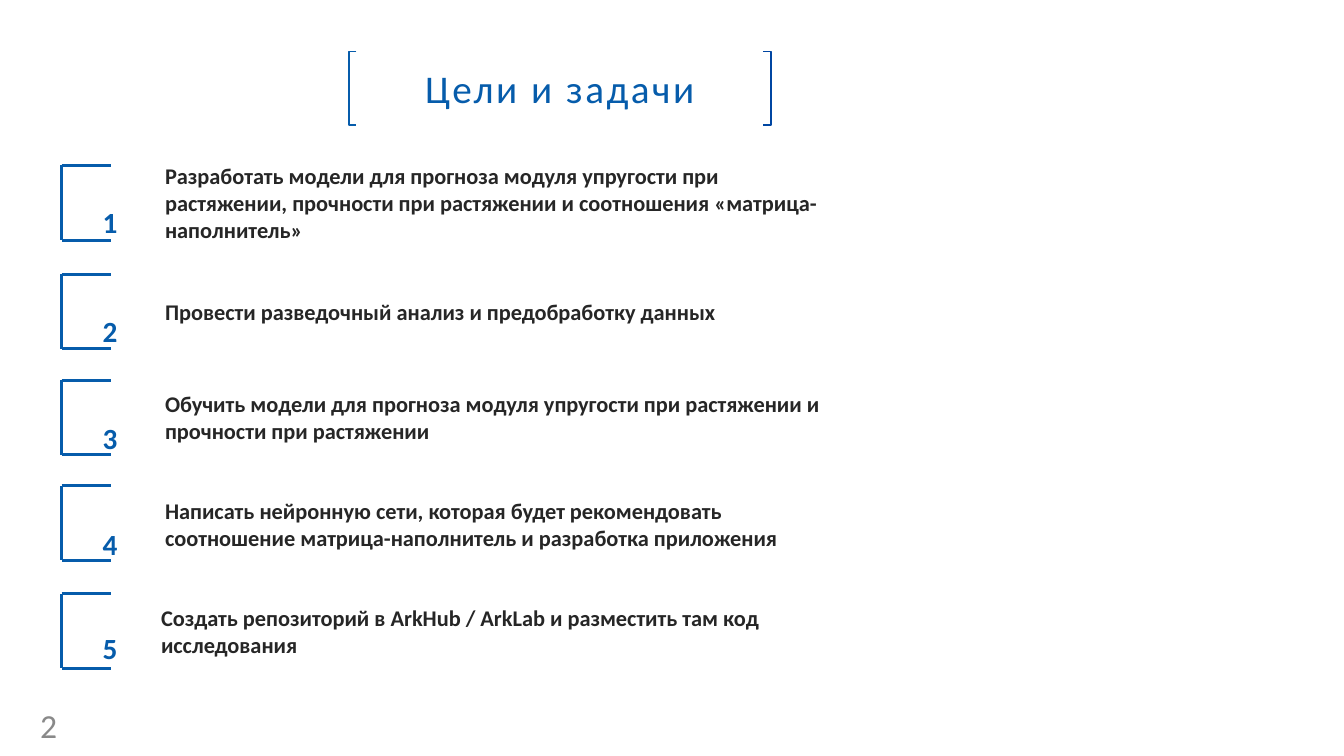
from lxml import etree
from pptx import Presentation
from pptx.dml.color import RGBColor
from pptx.enum.shapes import MSO_CONNECTOR, MSO_SHAPE
from pptx.enum.text import MSO_ANCHOR, PP_ALIGN
from pptx.oxml.ns import qn
from pptx.util import Cm, Pt

LINE = MSO_CONNECTOR.STRAIGHT
RECT = MSO_SHAPE.RECTANGLE
MIDDLE = MSO_ANCHOR.MIDDLE
CENTER = PP_ALIGN.CENTER

FONT = "Calibri"
BLUE, NAVY, DARK, GRAY, WHITE = "065CAB", "0046A2", "262626", "898989", "FFFFFF"

# Goal text, bracket top, number top, text left, text top, text height (cm)
GOALS = [
    ("Разработать модели для прогноза модуля упругости при растяжении, "
     "прочности при растяжении и соотношения «матрица-наполнитель»",
     4.17, 4.88, 3.91, 3.96, 2.31),
    ("Провести разведочный анализ и предобработку данных",
     6.91, 7.62, 3.91, 7.39, 0.94),
    ("Обучить модели для прогноза модуля упругости при растяжении "
     "и прочности при растяжении",
     9.58, 10.31, 3.91, 9.7, 1.63),
    ("Написать нейронную сети, которая будет рекомендовать "
     "соотношение матрица-наполнитель и разработка приложения",
     12.24, 12.98, 3.91, 12.4, 1.63),
    ("Создать репозиторий в ArkHub / ArkLab и разместить там код исследования",
     14.96, 15.6, 3.81, 15.09, 1.63),
]


def color(code):
    return RGBColor.from_string(code)


def write(shape, text, size, code, bold=False, **extra):
    """Fill a shape with one paragraph; extra holds run attributes."""
    shape.text_frame.word_wrap = True
    para = shape.text_frame.paragraphs[0]
    run = para.add_run()
    run.text = text
    font = para.font
    font.name, font.size, font.bold = FONT, Pt(size), bold
    font.color.rgb = color(code)
    for key, value in extra.items():
        run._r.get_or_add_rPr().set(key, value)
    return para


def add_text(slide, box, text, size, code, **style):
    shape = slide.shapes.add_textbox(*map(Cm, box))
    write(shape, text, size, code, **style)
    return shape


def add_line(slide, x1, y1, x2, y2):
    line = slide.shapes.add_connector(LINE, Cm(x1), Cm(y1), Cm(x2), Cm(y2))
    line.line.color.rgb = color(BLUE)
    line.line.width = Pt(2.25)
    etree.SubElement(line._element.spPr, qn("a:effectLst"))


def add_hook(slide, tip, edge, top, low, code):
    """Thin square bracket whose ends point from edge to tip."""
    pen = slide.shapes.build_freeform(Cm(tip), Cm(top))
    points = [(edge, top), (edge, low), (tip, low)]
    pen.add_line_segments([(Cm(x), Cm(y)) for x, y in points], close=False)
    hook = pen.convert_to_shape()
    hook.shadow.inherit = False
    hook.fill.background()
    hook.line.color.rgb = color(code)
    hook.line.width = Pt(1.3)


def add_title(slide, text):
    left, top, width, height = 8.79, 1.3, 10.64, 1.85
    right, low, tip = left + width, top + height, 0.19
    box = slide.shapes.add_shape(RECT, Cm(left), Cm(top), Cm(width), Cm(height))
    box.shadow.inherit = False
    box.fill.solid()
    box.fill.fore_color.rgb = color(WHITE)
    box.line.color.rgb = color(WHITE)
    box.line.width = Pt(2)
    box.text_frame.vertical_anchor = MIDDLE
    write(box, text, 28, BLUE, spc="180").alignment = CENTER
    add_hook(slide, left + tip, left, top, low, BLUE)
    add_hook(slide, right - tip, right, top, low, NAVY)


def add_goal(slide, number, text, top, num_top, left, text_top, height):
    edge, tip, low = 1.55, 2.8, top + 1.88
    add_line(slide, edge, top, edge, low)
    for y in (top, low):
        add_line(slide, edge, y, tip, y)
    add_text(slide, (left, text_top, 17.27, height), text, 16, DARK, bold=True)
    add_text(slide, (2.34, num_top, 3, 1.27), str(number), 36, BLUE,
             bold=True, baseline="30000")


def main():
    deck = Presentation()
    deck.slide_width, deck.slide_height = Cm(33.87), Cm(19.05)
    slide = deck.slides.add_slide(deck.slide_layouts[6])

    # Heading
    add_title(slide, "Цели и задачи")

    # Numbered goals
    for number, goal in enumerate(GOALS, 1):
        add_goal(slide, number, *goal)

    # Page number
    page = add_text(slide, (0.76, 17.88, 1.57, 0.76), "2", 24, GRAY)
    page.text_frame.vertical_anchor = MIDDLE

    deck.save("out.pptx")


if __name__ == "__main__":
    main()
